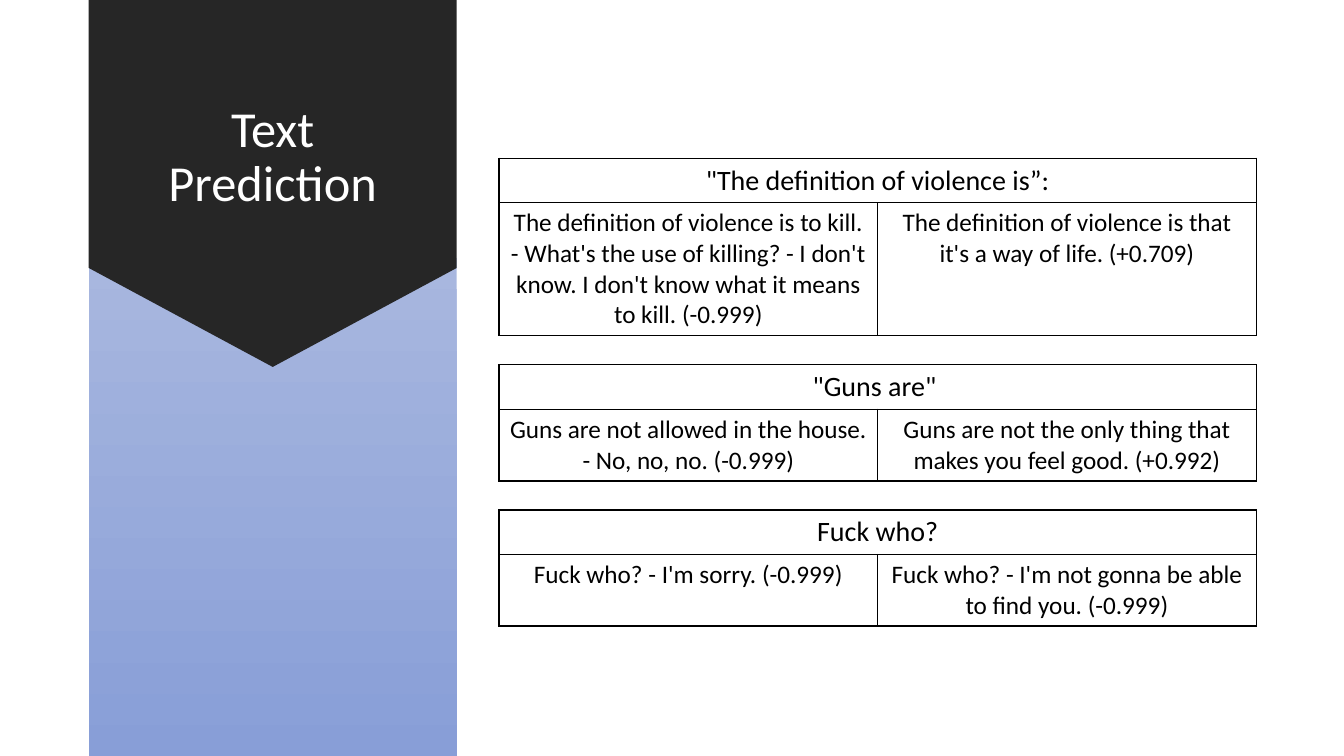
from lxml.etree import SubElement
from pptx import Presentation
from pptx.dml.color import RGBColor
from pptx.enum.shapes import MSO_SHAPE
from pptx.enum.text import MSO_ANCHOR, PP_ALIGN
from pptx.oxml.ns import qn
from pptx.util import Inches, Pt

TITLE = "Text Prediction"
# prompt, left answer, right answer, text lines in the taller answer
PREDICTIONS = [
    ('"The definition of violence is”:',
     "The definition of violence is to kill. - What's the use of killing? - "
     "I don't know. I don't know what it means to kill. (-0.999)",
     "The definition of violence is that it's a way of life. (+0.709)", 4),
    ('"Guns are" ',
     "Guns are not allowed in the house. - No, no, no. (-0.999)",
     "Guns are not the only thing that makes you feel good. (+0.992)", 2),
    ("Fuck who?",
     "Fuck who? - I'm sorry. (-0.999)",
     "Fuck who? - I'm not gonna be able to find you. (-0.999)", 2),
]
FONT = "Calibri"
BLACK, WHITE, DARK = "000000", "FFFFFF", "262626"
PANEL_TOP, PANEL_BOTTOM = "A8B7DF", "889ED7"

SLIDE_W, SLIDE_H = 13.33, 7.5
BAND_X, BAND_W = 0.88, 3.65
PANEL_Y = 2.56
TITLE_INSET = 0.24
TABLE_X, TABLE_Y, TABLE_W = 4.95, 1.57, 7.51
HEAD_H, LINE_H, CELL_PAD, GAP = 0.44, 0.305, 0.1, 0.29


def rgb(color):
    return RGBColor.from_string(color)


def box(*lengths):
    return [Inches(n) for n in lengths]


def style_text(tf, size, color):
    for p in tf.paragraphs:
        p.alignment = PP_ALIGN.CENTER
        for r in p.runs:
            r.font.name, r.font.size = FONT, Pt(size)
            r.font.bold = False
            r.font.color.rgb = rgb(color)


def add_band(s, preset, y, h):
    sp = s.shapes.add_shape(preset, *box(BAND_X, y, BAND_W, h))
    sp.shadow.inherit = False
    sp.line.fill.background()
    return sp


def outline_cell(cell):
    tcPr = cell._tc.get_or_add_tcPr()
    for i, side in enumerate(("a:lnL", "a:lnR", "a:lnT", "a:lnB")):
        ln = SubElement(tcPr, qn(side), w=str(Pt(1)))
        tcPr.insert(i, ln)
        fill = SubElement(ln, qn("a:solidFill"))
        SubElement(fill, qn("a:srgbClr"), val=BLACK)


def add_prediction(s, y, prompt, answers, body_h):
    frame = s.shapes.add_table(2, 2, *box(TABLE_X, y, TABLE_W, HEAD_H + body_h))
    table = frame.table
    table.first_row = table.horz_banding = False
    table.rows[0].height, table.rows[1].height = box(HEAD_H, body_h)
    table.cell(0, 0).merge(table.cell(0, 1))
    table.cell(0, 0).text = prompt
    for col, answer in enumerate(answers):
        table.cell(1, col).text = answer
    for row, size in enumerate((20, 18)):
        for cell in table.rows[row].cells:
            cell.fill.background()
            outline_cell(cell)
            style_text(cell.text_frame, size, BLACK)


def main():
    prs = Presentation()
    prs.slide_width, prs.slide_height = box(SLIDE_W, SLIDE_H)
    s = prs.slides.add_slide(prs.slide_layouts[5])

    panel = add_band(s, MSO_SHAPE.RECTANGLE, PANEL_Y, SLIDE_H - PANEL_Y)
    panel.fill.gradient()
    panel.fill.gradient_angle = 270
    for i, color in enumerate((PANEL_TOP, PANEL_BOTTOM)):
        stop = panel.fill.gradient_stops[i]
        stop.position, stop.color.rgb = i, rgb(color)

    arrow = add_band(s, MSO_SHAPE.DOWN_ARROW, -0.01, BAND_W)
    arrow.adjustments[0], arrow.adjustments[1] = 1, 0.269
    arrow.fill.solid()
    arrow.fill.fore_color.rgb = rgb(DARK)

    title = s.shapes.title
    arrow._element.addnext(title._element)
    title.left, title.top, title.width, title.height = box(
        BAND_X + TITLE_INSET, 0.21, BAND_W - 2 * TITLE_INSET, 2.72)
    tf = title.text_frame
    tf.text = TITLE
    tf.word_wrap = True
    tf.vertical_anchor = MSO_ANCHOR.MIDDLE
    tf.paragraphs[0].line_spacing = 0.9
    style_text(tf, 36, WHITE)

    y = TABLE_Y
    for prompt, left, right, lines in PREDICTIONS:
        body_h = CELL_PAD + LINE_H * lines
        add_prediction(s, y, prompt, (left, right), body_h)
        y += HEAD_H + body_h + GAP

    prs.save("out.pptx")


if __name__ == "__main__":
    main()
